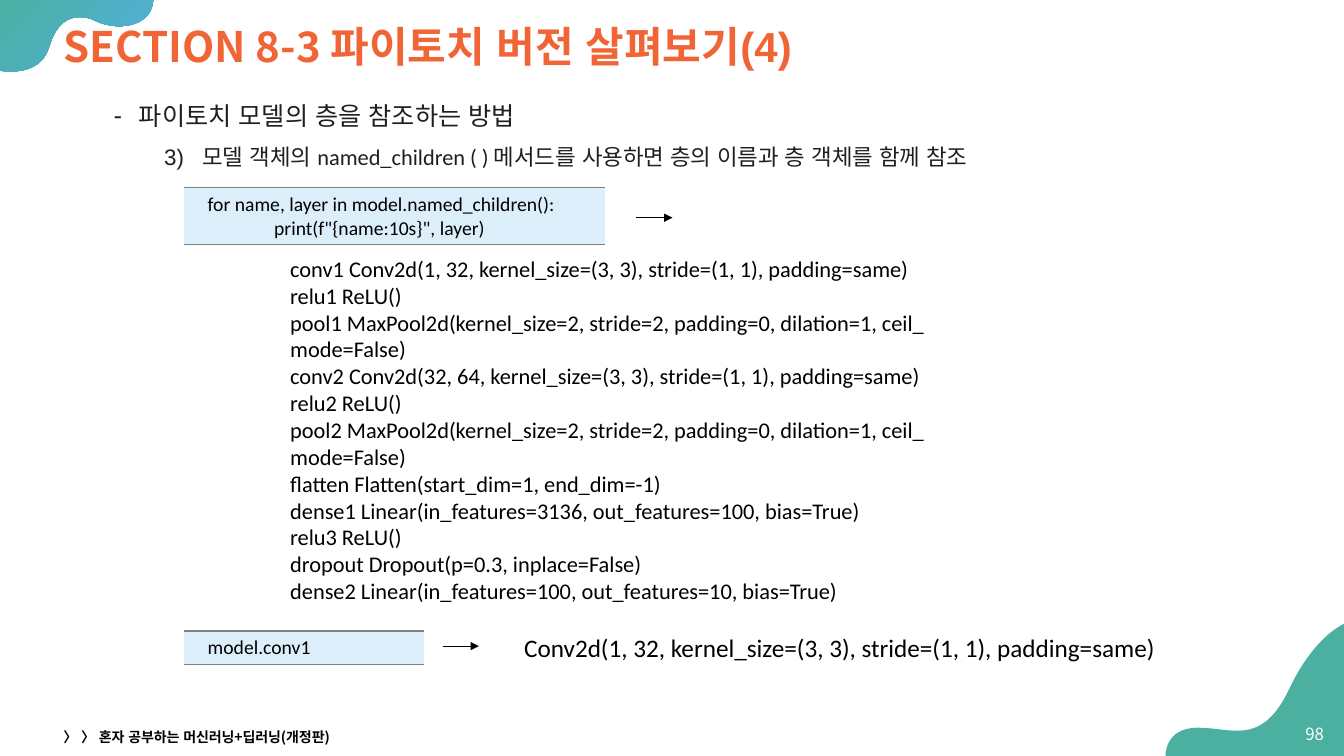
"""Builds the slide on referencing layers of a PyTorch model by name."""
from lxml.etree import SubElement
from pptx import Presentation
from pptx.dml.color import RGBColor
from pptx.enum.shapes import MSO_CONNECTOR
from pptx.enum.text import MSO_ANCHOR, MSO_AUTO_SIZE, PP_ALIGN
from pptx.oxml import parse_xml
from pptx.oxml.ns import nsdecls, qn
from pptx.util import Pt

PX = 9144
KOREAN = "Noto Sans CJK KR"
TEAL = "4BB0A0"


def color(value):
    return RGBColor.from_string(value)


def write(frame, lines, size, font="Calibri", ink="000000", bold=False):
    frame.word_wrap = True
    frame.text = "\n".join(lines)
    for paragraph in frame.paragraphs:
        paragraph.font.size = Pt(size)
        paragraph.font.name = font
        paragraph.font.bold = bold
        paragraph.font.color.rgb = color(ink)
        SubElement(paragraph.font._element, qn("a:ea"), typeface="Arial")


prs = Presentation()
prs.slide_width, prs.slide_height = 1333 * PX, 750 * PX
slide = prs.slides.add_slide(prs.slide_layouts[5])
shapes = slide.shapes

top_corner = [(152, -2), (-1, -2), (-1, 70)]
top_curves = [
    (-1, 70), (4, 71), (11, 71), (24, 71), (43, 67), (49, 46),
    (56, 23), (68, 17), (79, 17), (84, 17), (89, 18), (93, 20),
    (101, 24), (110, 26), (118, 26), (137, 26), (152, 17), (152, -2),
]
bottom_corner = [(1335, 751), (1335, 618)]
bottom_curves = [
    (1335, 618), (1304, 629), (1278, 685), (1262, 718), (1245, 725), (1227, 725),
    (1215, 725), (1202, 722), (1188, 722), (1154, 722), (1156, 751), (1156, 751),
]
waves = []
for corner, curves in ((top_corner, top_curves), (bottom_corner, bottom_curves)):
    builder = shapes.build_freeform(*corner[0], scale=PX)
    builder.add_line_segments(corner[1:] + curves, close=True)
    wave = builder.convert_to_shape()
    segments = list(wave._element.iter(qn("a:lnTo")))[len(corner) - 1:]
    for first in range(0, len(segments), 3):
        curve = parse_xml(f'<a:cubicBezTo {nsdecls("a")}/>')
        segments[first].addprevious(curve)
        for segment in segments[first:first + 3]:
            curve.append(segment[0])
            segment.getparent().remove(segment)
    wave.shadow.inherit = False
    wave.line.fill.background()
    waves.append(wave)

top_wave, bottom_wave = waves
top_wave.fill.gradient()
top_wave.fill.gradient_angle = 315
for stop, shade in zip(top_wave.fill.gradient_stops, (TEAL, "52AEE1")):
    stop.color.rgb = color(shade)
bottom_wave.fill.solid()
bottom_wave.fill.fore_color.rgb = color(TEAL)

title = shapes.title
title.left, title.top, title.width, title.height = 53 * PX, 12 * PX, 1234 * PX, 73 * PX
heading = title.text_frame
write(heading, ["SECTION 8-3 파이토치 버전 살펴보기"], 30, KOREAN, "F06436", True)
heading.auto_size = MSO_AUTO_SIZE.NONE
heading.vertical_anchor = MSO_ANCHOR.MIDDLE
heading.paragraphs[0].alignment = PP_ALIGN.LEFT
heading.paragraphs[0].line_spacing = 0.9
part_number = heading.paragraphs[0].add_run()
part_number.text = "(4)"
part_number.font.name = "Arial"

method = shapes.add_textbox(53 * PX, 89 * PX, 1269 * PX, 607 * PX).text_frame
write(method, [
    "파이토치 모델의 층을 참조하는 방법",
    "모델 객체의 named_children ( ) 메서드를 사용하면 층의 이름과 층 객체를 함께 참조",
], 18, ink="221E1F")
topic, step = method.paragraphs
step.font.size = Pt(16)
step.space_before = Pt(5)
for paragraph, margin, hang, kind, marks in (
        (topic, 75, 25, "buChar", {"char": "⁃"}),
        (step, 138, 38, "buAutoNum", {"type": "arabicParenR", "startAt": "3"})):
    paragraph.line_spacing = 1.2
    properties = paragraph._p.pPr
    properties.set("marL", str(margin * PX))
    properties.set("indent", str(-hang * PX))
    text_defaults = properties.find(qn("a:defRPr"))
    for tag, values in (("buFont", {"typeface": "Arial"}), (kind, marks)):
        bullet = SubElement(properties, qn("a:" + tag), **values)
        text_defaults.addprevious(bullet)

code_blocks = [
    (186, 418, 57, ["for name, layer in model.named_children():",
                    '               print(f"{name:10s}", layer)']),
    (626, 239, 33, ["model.conv1"]),
]
for top, width, height, code in code_blocks:
    table = shapes.add_table(1, 1, 182 * PX, top * PX, width * PX, height * PX).table
    table.first_row = table.horz_banding = False
    cell = table.cell(0, 0)
    cell.margin_left, cell.margin_right = 24 * PX, 10 * PX
    cell.margin_top = cell.margin_bottom = 5 * PX
    write(cell.text_frame, code, 14)
    cell.fill.solid()
    cell.fill.fore_color.rgb = color("DDEEFB")
    for place, side in enumerate("LRTB"):
        paint = ('<a:solidFill><a:srgbClr val="808080"/></a:solidFill>'
                 if side in "TB" else "<a:noFill/>")
        cell._tc.tcPr.insert(place, parse_xml(
            f'<a:ln{side} {nsdecls("a")} w="12700">{paint}</a:ln{side}>'))

for left, y in ((631, 216), (439, 641)):
    arrow = shapes.add_connector(
        MSO_CONNECTOR.STRAIGHT, left * PX, y * PX, (left + 36) * PX, y * PX)
    arrow.line.color.rgb = color("000000")
    arrow.line.width = Pt(0.5)
    SubElement(arrow.line._get_or_add_ln(), qn("a:tailEnd"), type="triangle")
    SubElement(arrow._element.spPr, qn("a:effectLst"))

layers = [
    "conv1 Conv2d(1, 32, kernel_size=(3, 3), stride=(1, 1), padding=same)",
    "relu1 ReLU()",
    "pool1 MaxPool2d(kernel_size=2, stride=2, padding=0, dilation=1, ceil_",
    "mode=False)",
    "conv2 Conv2d(32, 64, kernel_size=(3, 3), stride=(1, 1), padding=same)",
    "relu2 ReLU()",
    "pool2 MaxPool2d(kernel_size=2, stride=2, padding=0, dilation=1, ceil_",
    "mode=False)",
    "flatten Flatten(start_dim=1, end_dim=-1)",
    "dense1 Linear(in_features=3136, out_features=100, bias=True)",
    "relu3 ReLU()",
    "dropout Dropout(p=0.3, inplace=False)",
    "dense2 Linear(in_features=100, out_features=10, bias=True)",
]
conv1 = ["Conv2d(1, 32, kernel_size=(3, 3), stride=(1, 1), padding=same)"]
for left, top, width, height, output, size in (
        (278, 248, 708, 370, layers, 16), (510, 622, 668, 40, conv1, 18)):
    write(shapes.add_textbox(left * PX, top * PX, width * PX, height * PX).text_frame,
          output, size)

book = shapes.add_textbox(53 * PX, 719 * PX, 450 * PX, 24 * PX).text_frame
write(book, ["〉 〉 혼자 공부하는 머신러닝+딥러닝(개정판)"], 10, KOREAN, bold=True)
page = shapes.add_textbox(1279 * PX, 708 * PX, 44 * PX, 40 * PX).text_frame
write(page, ["98"], 12, KOREAN, "FFFFFF")
page.paragraphs[0].alignment = PP_ALIGN.RIGHT
for footer in (book, page):
    footer.vertical_anchor = MSO_ANCHOR.MIDDLE

prs.save("out.pptx")
